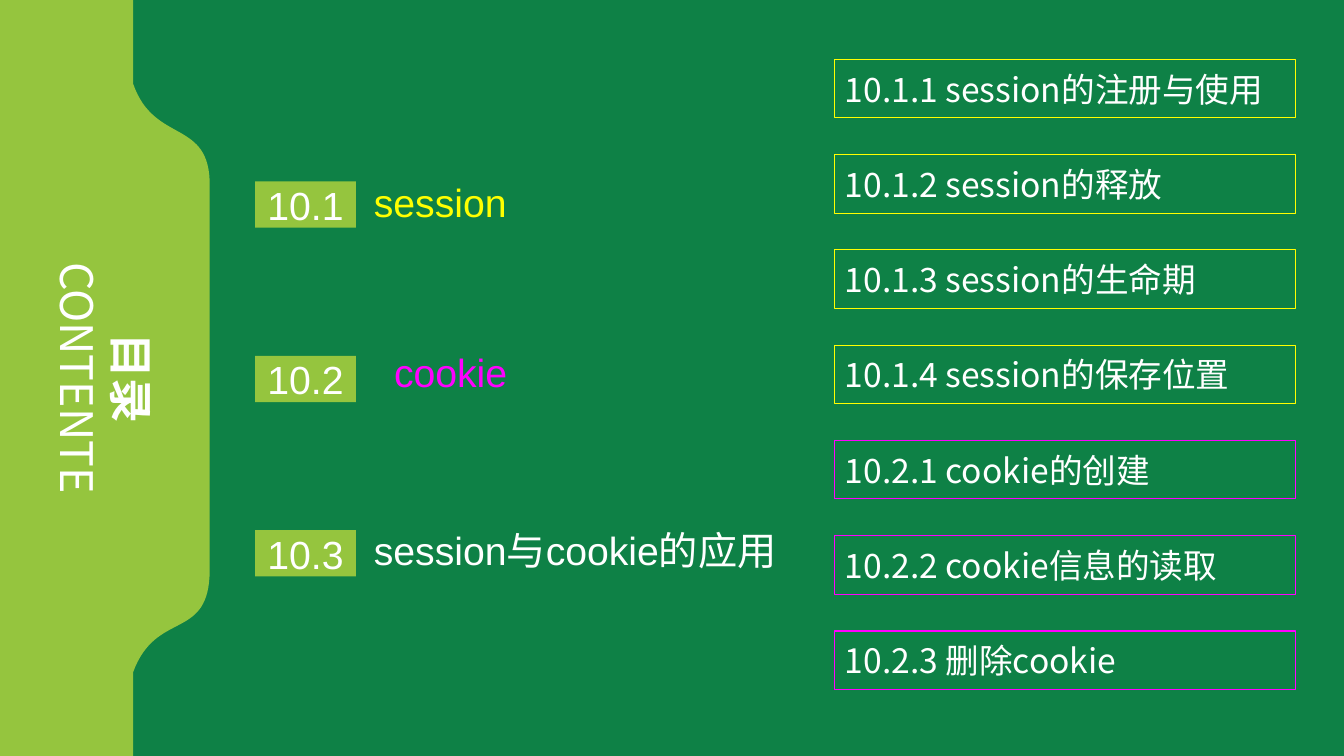
from lxml.etree import SubElement
from pptx import Presentation
from pptx.dml.color import RGBColor
from pptx.enum.shapes import MSO_SHAPE
from pptx.enum.text import MSO_ANCHOR, PP_ALIGN
from pptx.oxml.ns import qn
from pptx.util import Pt

PX = 9144
GREEN = RGBColor(0x0E, 0x81, 0x46)
LIME = RGBColor(0x95, 0xC5, 0x3E)
WHITE = RGBColor(0xFF, 0xFF, 0xFF)
YELLOW = RGBColor(0xFF, 0xFF, 0x00)
PINK = RGBColor(0xFF, 0x00, 0xFF)
SANS = "Noto Sans CJK SC"

PARTS = [
    ("10.1", "session", YELLOW, 108, -8, 154),
    ("10.2", "cookie", PINK, 128, -12, 134),
    ("10.3", "session与cookie的应用", WHITE, 108, -9, 431),
]
TOPICS = [
    ("10.1.1 session的注册与使用", YELLOW),
    ("10.1.2 session的释放", YELLOW),
    ("10.1.3 session的生命期", YELLOW),
    ("10.1.4 session的保存位置", YELLOW),
    ("10.2.1 cookie的创建", PINK),
    ("10.2.2 cookie信息的读取", PINK),
    ("10.2.3 删除cookie", PINK),
]


def emu(*sizes):
    """Turn px lengths into EMU."""
    return [round(size * PX) for size in sizes]


def write(shape, lines, size, face, color, align=PP_ALIGN.LEFT):
    """Fill a shape with lines of text in one style."""
    frame = shape.text_frame
    frame.word_wrap = True
    frame.text = "\n".join(lines)
    for para in frame.paragraphs:
        para.alignment = align
        font = para.font
        font.size, font.name, font.color.rgb = Pt(size), face, color
        for run in para.runs:
            props = run._r.get_or_add_rPr()
            SubElement(props, qn("a:ea")).set("typeface", SANS)
    return frame


def add_box(slide, box, fill=None, line=None):
    """Add a flat rectangle with an optional fill and outline."""
    shape = slide.shapes.add_shape(MSO_SHAPE.RECTANGLE, *emu(*box))
    shape.shadow.inherit = False
    shape.text_frame.vertical_anchor = MSO_ANCHOR.MIDDLE
    if fill is None:
        shape.fill.background()
    else:
        shape.fill.solid()
        shape.fill.fore_color.rgb = fill
    if line is None:
        shape.line.fill.background()
    else:
        shape.line.color.rgb = line
        shape.line.width = Pt(0.75)
    return shape


def curve(a, b, c, d, steps=32):
    """Return points along a cubic curve from a to d."""
    spots = []
    for step in range(1, steps + 1):
        t = step / steps
        u = 1 - t
        spots.append(tuple(
            u**3 * i + 3 * u * u * t * j + 3 * u * t * t * k + t**3 * m
            for i, j, k, m in zip(a, b, c, d)))
    return spots


def add_side(slide, left, top, width, height):
    """Draw the side tab and its turned heading."""
    neck = width - 76
    spots = [(neck, 0), (neck, 83)]
    spots += curve((neck, 83), (153, 144), (209, 117), (width, 185))
    spots.append((width, 565))
    spots += curve((width, 565), (width, 637), (155, 604), (neck, 667))
    spots += [(neck, height), (0, height)]
    pen = slide.shapes.build_freeform(*emu(left, top), scale=1.0)
    pen.add_line_segments([emu(left + x, top + y) for x, y in spots])
    tab = pen.convert_to_shape()
    tab.shadow.inherit = False
    tab.fill.solid()
    tab.fill.fore_color.rgb = LIME
    tab.line.fill.background()

    head = slide.shapes.add_textbox(*emu(left - 39, top + 316, 286, 118))
    head.rotation = 90
    frame = write(head, ["目录", "CONTENTE"], 32, SANS, WHITE, PP_ALIGN.CENTER)
    frame.paragraphs[0].font.bold = True


def add_parts(slide, left, top, width, height):
    """Stack the numbered parts with their titles."""
    tall = 46
    step = (height - tall) / (len(PARTS) - 1)
    for row, (label, title, color, dx, dy, wide) in enumerate(PARTS):
        y = top + row * step
        tag = add_box(slide, (left, y, 100, tall), fill=LIME)
        write(tag, [label], 28, "Arial", WHITE, PP_ALIGN.CENTER)
        wide = min(wide, width - dx)
        name = slide.shapes.add_textbox(*emu(left + dx, y + dy, wide, 57))
        write(name, [title], 28, "Arial", color)


def add_topics(slide, left, top, width, height):
    """Stack the outlined topics at equal gaps."""
    tall = 58
    step = (height - tall) / (len(TOPICS) - 1)
    for row, (topic, color) in enumerate(TOPICS):
        box = add_box(slide, (left, top + row * step, width, tall), line=color)
        write(box, [topic], 24, SANS, WHITE)


def main():
    """Build the contents slide and save it."""
    deck = Presentation()
    deck.slide_width, deck.slide_height = emu(1333, 750)
    slide = deck.slides.add_slide(deck.slide_layouts[6])
    slide.background.fill.solid()
    slide.background.fill.fore_color.rgb = GREEN
    add_side(slide, 0, 0, 208, 750)
    add_parts(slide, 253, 180, 539, 392)
    add_topics(slide, 828, 59, 457, 625)
    deck.save("out.pptx")


if __name__ == "__main__":
    main()
